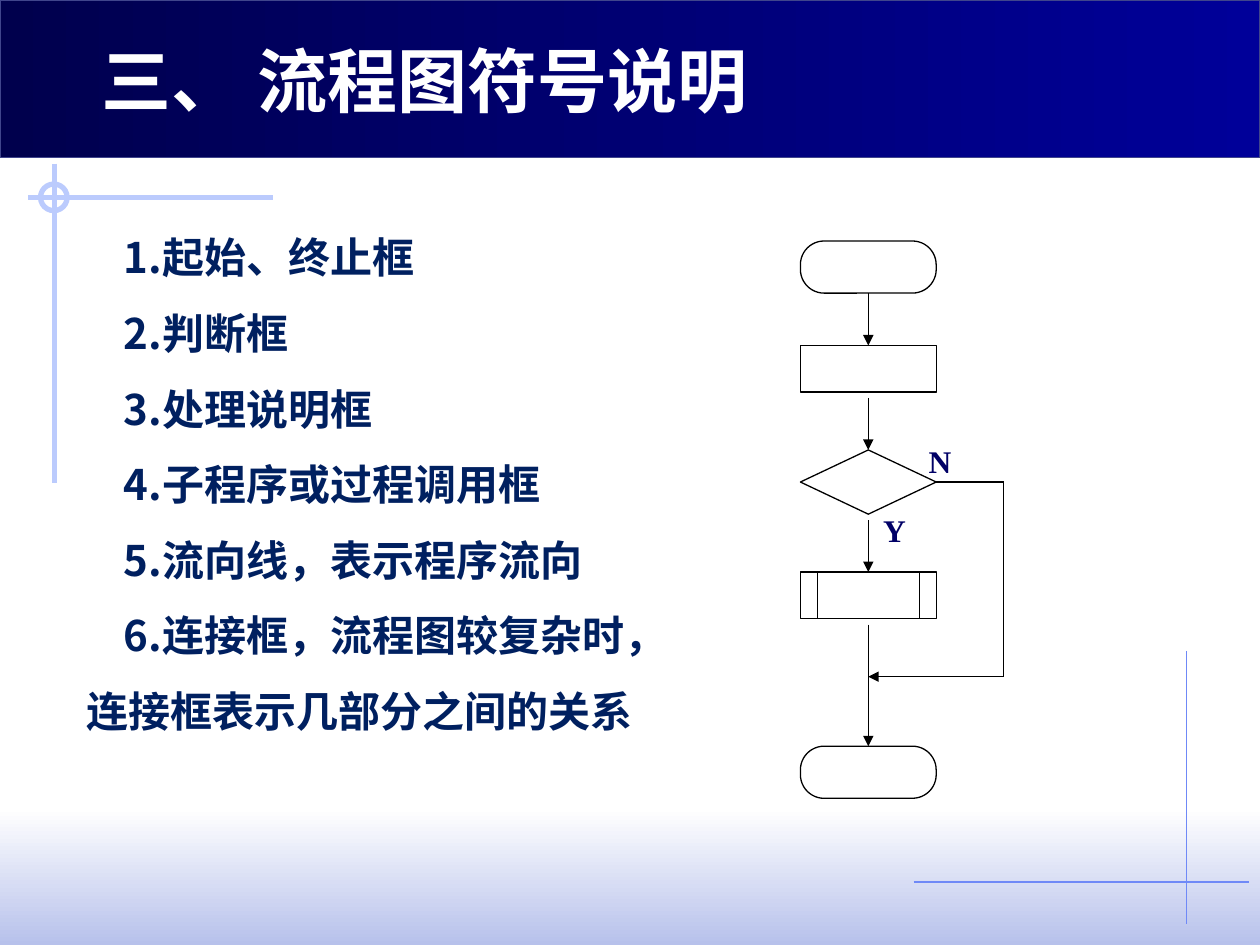
import pptx
import pptx.util
import pptx.dml.color
import pptx.enum.shapes
import pptx.enum.text
import pptx.oxml.ns
from lxml import etree

Pt = pptx.util.Pt
Kind = pptx.enum.shapes.MSO_SHAPE
Align = pptx.enum.text.PP_ALIGN
Anchor = pptx.enum.text.MSO_ANCHOR
Fit = pptx.enum.text.MSO_AUTO_SIZE
qn = pptx.oxml.ns.qn

TITLE = "三、 流程图符号说明"
ITEMS = [
    "1.起始、终止框",
    "2.判断框",
    "3.处理说明框",
    "4.子程序或过程调用框",
    "5.流向线，表示程序流向",
    "6.连接框，流程图较复杂时，连接框表示几部分之间的关系",
]
HEX = {
    "white": "FFFFFF", "black": "000000", "text": "002060", "label": "000066",
    "dark": "00004D", "navy": "000099", "edge": "40458C",
    "mist": "B7C1EB", "pale": "BBCBFD", "blue": "6F89F7",
}
BANDS = [
    ((0, 462, 720, 78), ("white", "mist"), 270, None),
    ((0, 0, 720, 90), ("dark", "navy"), 0, "edge"),
]
RULES = [
    ((678, 372), (678, 528), "blue", 0.75),
    ((156, 113), (16, 113), "pale", 3),
    ((31, 93.5), (31, 276), "pale", 3),
    ((522, 504), (714, 504), "blue", 0.75),
]
RING = (23.2, 105.2, 15.2, 15.2)
MID, WIDE = 496.2, 77.6
STEPS = [
    (Kind.ROUNDED_RECTANGLE, 137.7, 29.8),
    (Kind.FLOWCHART_PROCESS, 197.4, 26.6),
    (Kind.FLOWCHART_DECISION, 257.1, 36.7),
    (Kind.FLOWCHART_PREDEFINED_PROCESS, 326.9, 26.6),
    (Kind.ROUNDED_RECTANGLE, 426.4, 29.8),
]
GAP = 3.4
SIDE, JOIN = 573.6, 386.7
LABELS = [("Y", 500.4, 292.3), ("N", 526.3, 252.7)]

TITLE_FONT = {"size": Pt(40), "bold": True, "name": "Noto Sans CJK JP"}
BODY_FONT = {"size": Pt(24), "bold": True, "name": "Noto Sans CJK SC"}
LABEL_FONT = {"size": Pt(18), "bold": True, "name": "Times New Roman"}
TITLE_BOX = {"word_wrap": False, "auto_size": Fit.NONE, "vertical_anchor": Anchor.TOP}
BODY_BOX = {"word_wrap": True, "auto_size": Fit.NONE, "vertical_anchor": Anchor.MIDDLE}
LABEL_BOX = {"word_wrap": True, "margin_left": 0, "margin_right": 0,
             "margin_top": 0, "margin_bottom": 0}
TITLE_PARA = {"alignment": Align.LEFT}
BODY_PARA = {"alignment": Align.LEFT, "line_spacing": 1.5,
             "space_before": Pt(0), "space_after": Pt(0)}
LABEL_PARA = {"alignment": Align.CENTER}


def apply(obj, form):
    for key, val in form.items():
        setattr(obj, key, val)


def rgb(name):
    return pptx.dml.color.RGBColor.from_string(HEX[name])


def place(shape, box):
    apply(shape, dict(zip(("left", "top", "width", "height"), map(Pt, box))))


def stroke(line, color, width):
    line.color.rgb = rgb(color)
    line.width = Pt(width)


def write(frame, lines, box, para, font, color):
    apply(frame, box)
    for i, text in enumerate(lines):
        p = frame.paragraphs[0] if i == 0 else frame.add_paragraph()
        apply(p, para)
        run = p.add_run()
        run.text = text
        apply(run.font, font)
        run.font.color.rgb = rgb(color)
        face = etree.SubElement(run.font._element, qn("a:ea"))
        face.set("typeface", font["name"])


def shape(shapes, kind, box):
    item = shapes.add_shape(kind, *map(Pt, box))
    item.shadow.inherit = False
    return item


def link(shapes, start, end, color="black", width=0.75, arrow=False):
    line = shapes.add_connector(
        pptx.enum.shapes.MSO_CONNECTOR.STRAIGHT, *map(Pt, start + end))
    stroke(line.line, color, width)
    props = line._element.spPr
    if arrow:
        etree.SubElement(props.find(qn("a:ln")), qn("a:tailEnd"), type="triangle")
    etree.SubElement(props, qn("a:effectLst"))
    return line


def decor(shapes):
    for box, ends, angle, edge in BANDS:
        band = shape(shapes, Kind.RECTANGLE, box)
        band.fill.gradient()
        band.fill.gradient_angle = angle
        for stop, name in zip(band.fill.gradient_stops, ends):
            stop.color.rgb = rgb(name)
        if edge:
            stroke(band.line, edge, 0.75)
        else:
            band.line.fill.background()
    for rule in RULES:
        link(shapes, *rule)
    ring = shape(shapes, Kind.OVAL, RING)
    ring.fill.background()
    stroke(ring.line, "pale", 3)


def words(slide):
    title, body = slide.placeholders
    for item in (title, body):
        slide.shapes._spTree.append(item._element)
    place(title, (51, 18, 384.5, 55.4))
    write(title.text_frame, [TITLE], TITLE_BOX, TITLE_PARA, TITLE_FONT, "white")
    place(body, (42.5, 114.5, 357.1, 309.6))
    write(body.text_frame, ITEMS, BODY_BOX, BODY_PARA, BODY_FONT, "text")
    for p in body.text_frame.paragraphs:
        props = p._p.get_or_add_pPr()
        props.set("marL", "0")
        props.set("indent", str(Pt(21)))
        etree.SubElement(props, qn("a:buNone"))


def chart(shapes):
    boxes = []
    for kind, top, high in STEPS:
        box = shape(shapes, kind, (MID - WIDE / 2, top, WIDE, high))
        box.fill.solid()
        box.fill.fore_color.rgb = rgb("white")
        stroke(box.line, "black", 0.75)
        if kind == Kind.ROUNDED_RECTANGLE:
            box.adjustments[0] = 0.455
        boxes.append(box)
    for i, (_, top, high) in enumerate(STEPS[:-1]):
        gap = GAP if i else 0
        line = link(shapes, (MID, top + high + gap), (MID, STEPS[i + 1][1]), arrow=True)
        if not gap:
            line.begin_connect(boxes[i], 2)
        line.end_connect(boxes[i + 1], 0)
    _, top, high = STEPS[2]
    mid = top + high / 2
    turns = [(MID + WIDE / 2, mid), (SIDE, mid), (SIDE, JOIN), (MID, JOIN)]
    for i, (start, end) in enumerate(zip(turns, turns[1:])):
        line = link(shapes, start, end, arrow=i == 2)
        if i == 0:
            line.begin_connect(boxes[2], 3)
    for text, left, top in LABELS:
        note = shapes.add_textbox(*map(Pt, (left, top, 21.6, 24.5)))
        write(note.text_frame, [text], LABEL_BOX, LABEL_PARA, LABEL_FONT, "label")


def main():
    deck = pptx.Presentation()
    apply(deck, {"slide_width": Pt(720), "slide_height": Pt(540)})
    slide = deck.slides.add_slide(deck.slide_layouts[1])
    decor(slide.shapes)
    words(slide)
    chart(slide.shapes)
    deck.save("out.pptx")


if __name__ == "__main__":
    main()
